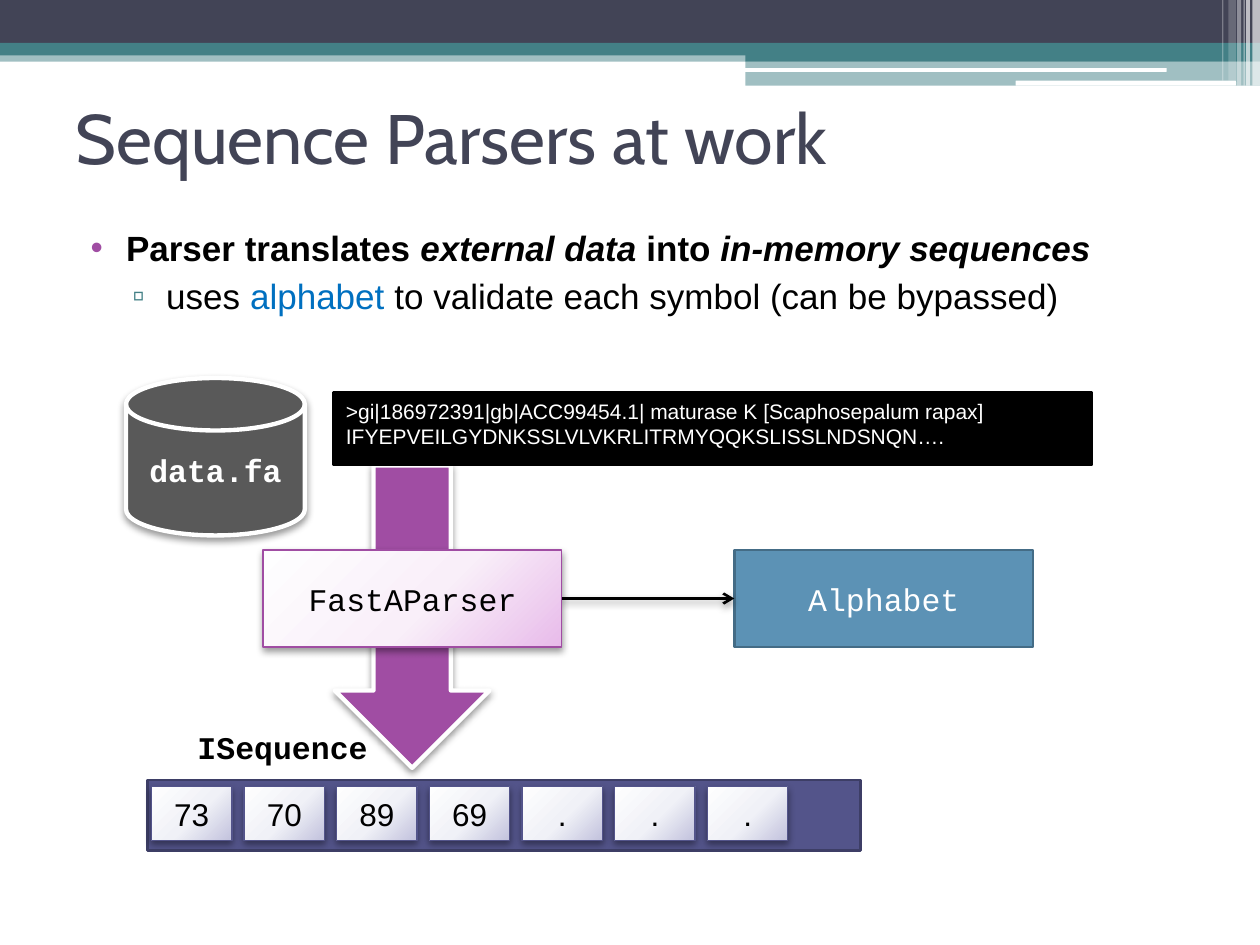
from lxml.etree import SubElement
from pptx import Presentation
from pptx.dml.color import RGBColor
from pptx.enum.shapes import MSO_CONNECTOR, MSO_SHAPE
from pptx.enum.text import MSO_ANCHOR, MSO_AUTO_SIZE, PP_ALIGN
from pptx.oxml import parse_xml
from pptx.oxml.ns import nsdecls, qn
from pptx.util import Pt

COLORS = {
    "ink": "424456", "teal": "438086", "white": "FFFFFF", "black": "000000",
    "purple": "A04DA3", "link": "0070C0", "blue": "5C92B5", "blue_edge": "446C86",
    "gray": "595959", "indigo": "53548A", "indigo_edge": "3D3E66",
}
PINK_GLOW = ["FEFEFF", "F9EFF9", "E8BBEA"]
INDIGO_GLOW = ["FEFEFE", "F0F1F7", "C2C2DD"]
SANS, MONO, HEADING = "Arial", "Courier New", "Cabin"

# Header bands and stripes: left, top, width, height, colour, opacity in percent
HEADER_BARS = [
    (0, 28.8, 720, 6.5, "teal", 50),
    (0, 0, 720, 24.5, "ink", 100),
    (0, 24.5, 720, 7.2, "teal", 100),
    (426, 28.1, 294, 7, "teal", 100),
    (426, 34.8, 294, 14.2, "teal", 50),
]
HEADER_RULES = [(425.5, 38.9, 241.2, 2.2), (580.3, 46.1, 126, 2.9)]
HEADER_STRIPES = [
    (715.7, 0, 4.3, 49, "white", 65),
    (712.1, 0, 2.2, 49, "white", 65),
    (710.6, 0, 0.7, 49, "white", 60),
    (707, 0, 2.2, 49, "white", 40),
    (702, 0, 4.3, 46.1, "white", 20),
    (698.4, 0, 0.7, 46.1, "white", 30),
]


def rgb(name):
    return RGBColor.from_string(COLORS[name])


def format_run(run, size, font, color, bold=False, italic=False):
    run.font.size, run.font.name = Pt(size), font
    run.font.bold, run.font.italic = bold, italic
    run.font.color.rgb = rgb(color)


def add_glow(shape, stops):
    """Fill with a circular gradient that starts beyond the top left."""
    shape.fill.background()
    steps = "".join(
        f'<a:gs pos="{pos}"><a:srgbClr val="{color}"/></a:gs>'
        for pos, color in zip((0, 55000, 100000), stops))
    gradient = parse_xml(
        f'<a:gradFill {nsdecls("a")} rotWithShape="1"><a:gsLst>{steps}</a:gsLst>'
        '<a:path path="circle"><a:fillToRect l="-40000" t="-90000" r="140000" b="190000"/>'
        '</a:path></a:gradFill>')
    properties = shape._element.spPr
    properties.replace(properties.find(qn("a:noFill")), gradient)


def set_shadow(element, visible):
    properties = element._element.spPr
    effects = properties.find(qn("a:effectLst"))
    if effects is None:
        effects = SubElement(properties, qn("a:effectLst"))
    if visible:
        effects.append(parse_xml(
            f'<a:outerShdw {nsdecls("a")} blurRad="52070" dist="25400" dir="5400000" '
            'rotWithShape="0"><a:srgbClr val="000000"><a:alpha val="40000"/></a:srgbClr>'
            '</a:outerShdw>'))


def add_block(shapes, preset, box, fill, line=None, width=1.5, shadow=False, opacity=100):
    """Add a preset shape; fill is a colour name or a list of gradient stops."""
    block = shapes.add_shape(preset, *map(Pt, box))
    block.shadow.inherit = False
    if isinstance(fill, list):
        add_glow(block, fill)
    else:
        block.fill.solid()
        block.fill.fore_color.rgb = rgb(fill)
        if opacity < 100:
            color = block._element.spPr.find(qn("a:solidFill"))[0]
            SubElement(color, qn("a:alpha")).set("val", str(opacity * 1000))
    if line:
        block.line.color.rgb = rgb(line)
        block.line.width = Pt(width)
    else:
        block.line.fill.background()
    set_shadow(block, shadow)
    return block


def write(shape, text, size, font, color, bold=False,
          align=PP_ALIGN.CENTER, anchor=MSO_ANCHOR.MIDDLE):
    frame = shape.text_frame
    frame.text = text
    frame.word_wrap = True
    frame.vertical_anchor = anchor
    for paragraph in frame.paragraphs:
        paragraph.alignment = align
        for run in paragraph.runs:
            format_run(run, size, font, color, bold)


def add_header(shapes):
    for *box, color, opacity in HEADER_BARS:
        add_block(shapes, MSO_SHAPE.RECTANGLE, box, color, opacity=opacity)
    for box in HEADER_RULES:
        add_block(shapes, MSO_SHAPE.ROUNDED_RECTANGLE, box, "white")
    for *box, color, opacity in HEADER_STRIPES:
        add_block(shapes, MSO_SHAPE.RECTANGLE, box, color, opacity=opacity)


def place(shape, left, top, width, height):
    shape.left, shape.top = Pt(left), Pt(top)
    shape.width, shape.height = Pt(width), Pt(height)


def write_bullet(paragraph, parts, level, margin, hang, mark, mark_color):
    """Write runs given as (text, colour, bold, italic) behind a coloured bullet."""
    paragraph.level = level
    paragraph.space_before = Pt(3)
    for text, color, bold, italic in parts:
        run = paragraph.add_run()
        run.text = text
        format_run(run, 20, SANS, color, bold, italic)
    properties = paragraph._p.get_or_add_pPr()
    properties.set("marL", str(Pt(margin)))
    properties.set("indent", str(-Pt(hang)))
    SubElement(SubElement(properties, qn("a:buClr")), qn("a:srgbClr")).set(
        "val", COLORS[mark_color])
    SubElement(properties, qn("a:buFont")).set("typeface", SANS)
    SubElement(properties, qn("a:buChar")).set("char", mark)


def add_arrow(shapes, start, end):
    arrow = shapes.add_connector(MSO_CONNECTOR.STRAIGHT, *map(Pt, start + end))
    arrow.line.color.rgb = rgb("black")
    arrow.line.width = Pt(1.5)
    SubElement(arrow.line._get_or_add_ln(), qn("a:tailEnd")).set("type", "arrow")
    set_shadow(arrow, True)


def add_sequence(shapes, symbols):
    """Draw the strip of encoded symbols as one group."""
    strip = shapes.add_group_shape().shapes
    add_block(strip, MSO_SHAPE.RECTANGLE, (84.3, 445.7, 407.5, 40.3), "indigo", "indigo_edge")
    for index, symbol in enumerate(symbols):
        cell = add_block(strip, MSO_SHAPE.RECTANGLE, (86.5 + 52.95 * index, 449.6, 46, 30.6),
                         INDIGO_GLOW, "indigo", 0.75, shadow=True)
        write(cell, symbol, 18, SANS, "black")


def main():
    deck = Presentation()
    deck.slide_width, deck.slide_height = Pt(720), Pt(540)
    slide = deck.slides.add_slide(deck.slide_layouts[1])
    shapes = slide.shapes
    add_header(shapes)

    # Title and bullets
    title, points = slide.placeholders
    place(title, 36, 36, 648, 84)
    write(title, "Sequence Parsers at work", 40, HEADING, "ink", align=PP_ALIGN.LEFT)
    place(points, 36, 126, 648, 78)
    points.text_frame.auto_size = MSO_AUTO_SIZE.NONE
    write_bullet(points.text_frame.paragraphs[0], [
        ("Parser translates ", "black", True, False),
        ("external data ", "black", True, True),
        ("into ", "black", True, False),
        ("in-memory sequences", "black", True, True),
    ], 0, 28.8, 20.2, "•", "purple")
    write_bullet(points.text_frame.add_paragraph(), [
        ("uses ", "black", False, False),
        ("alphabet", "link", False, False),
        (" to validate each symbol (can be bypassed)", "black", False, False),
    ], 1, 51.8, 19.4, "▫", "teal")

    # Alphabet and the flow arrows
    alphabet = add_block(shapes, MSO_SHAPE.RECTANGLE, (419.6, 314.4, 170.8, 55.4),
                         "blue", "blue_edge")
    write(alphabet, "Alphabet", 18, MONO, "white")
    add_arrow(shapes, (320.8, 342), (419.6, 342))
    add_block(shapes, MSO_SHAPE.DOWN_ARROW, (191.3, 266, 88.4, 172.8),
              "purple", "white", 2.5, shadow=True)

    # Data file and its content
    data_file = add_block(shapes, MSO_SHAPE.FLOWCHART_MAGNETIC_DISK, (72, 216, 102.2, 90),
                          "gray", "white", 2.5, shadow=True)
    write(data_file, "data.fa", 18, MONO, "white", bold=True)
    record = add_block(shapes, MSO_SHAPE.RECTANGLE, (190.6, 224.3, 433.5, 41.5),
                       "black", "black")
    write(record, ">gi|186972391|gb|ACC99454.1| maturase K [Scaphosepalum rapax]\n"
          "IFYEPVEILGYDNKSSLVLVKRLITRMYQQKSLISSLNDSNQN….",
          12, SANS, "white", align=PP_ALIGN.LEFT, anchor=MSO_ANCHOR.TOP)

    # Parser
    parser = add_block(shapes, MSO_SHAPE.RECTANGLE, (150.3, 314.4, 170.8, 55.4),
                       PINK_GLOW, "purple", 0.75, shadow=True)
    write(parser, "FastAParser", 18, MONO, "black")

    # Resulting sequence
    sequence_label = shapes.add_textbox(Pt(105.8), Pt(412.6), Pt(136), Pt(33.8))
    write(sequence_label, "ISequence", 18, MONO, "black", bold=True,
          align=PP_ALIGN.LEFT, anchor=MSO_ANCHOR.TOP)
    add_sequence(shapes, ["73", "70", "89", "69", ".", ".", "."])

    deck.save("out.pptx")


main()
